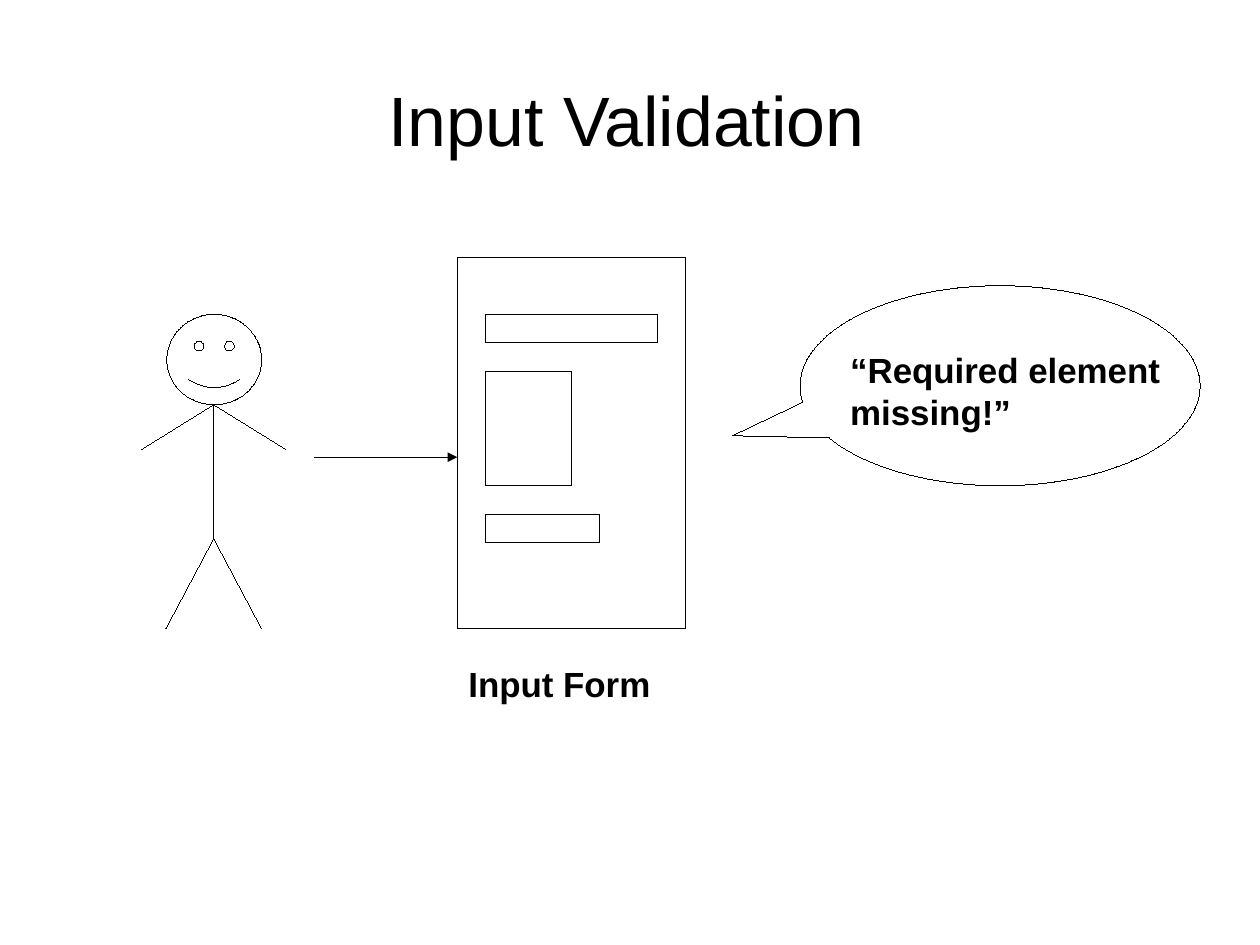
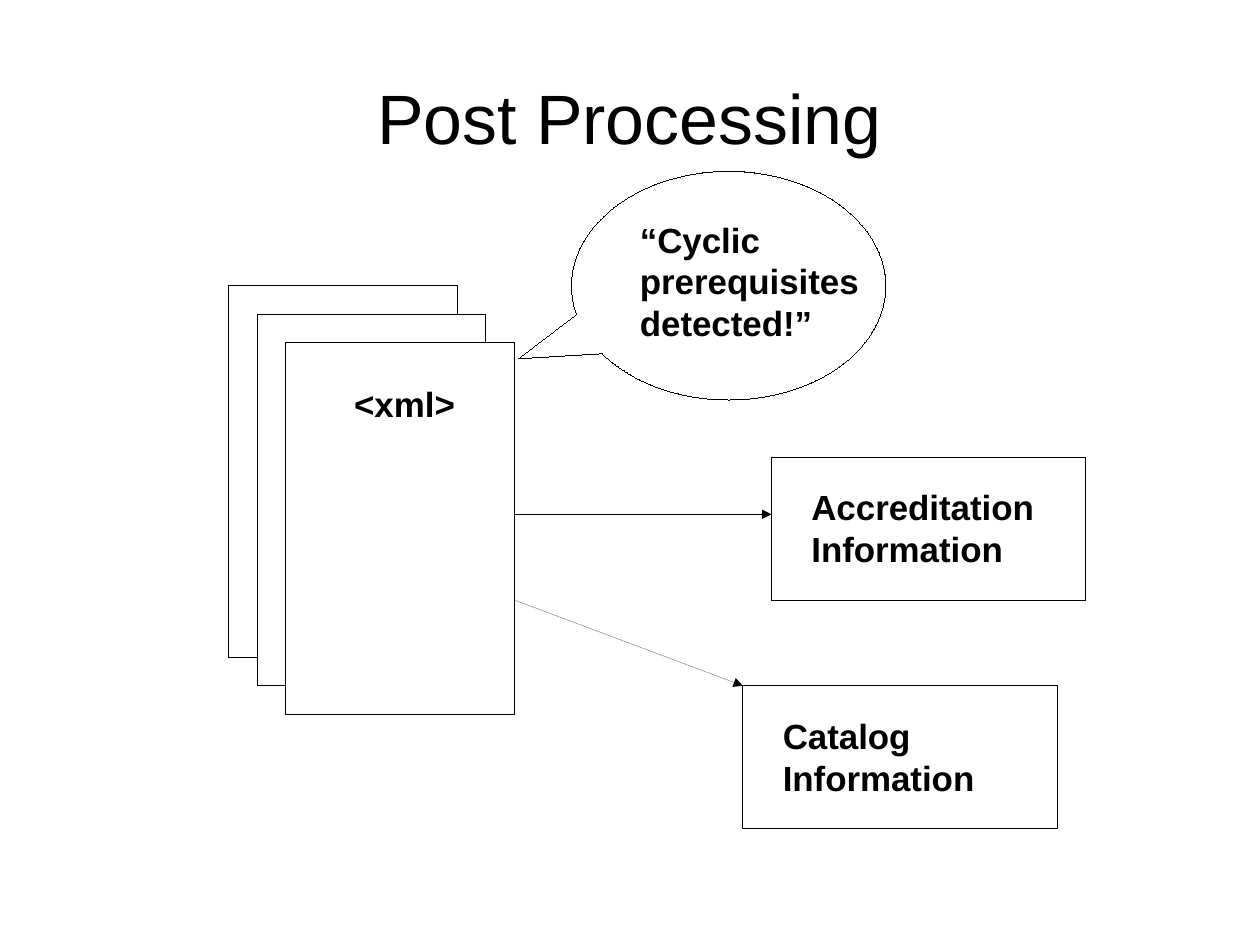
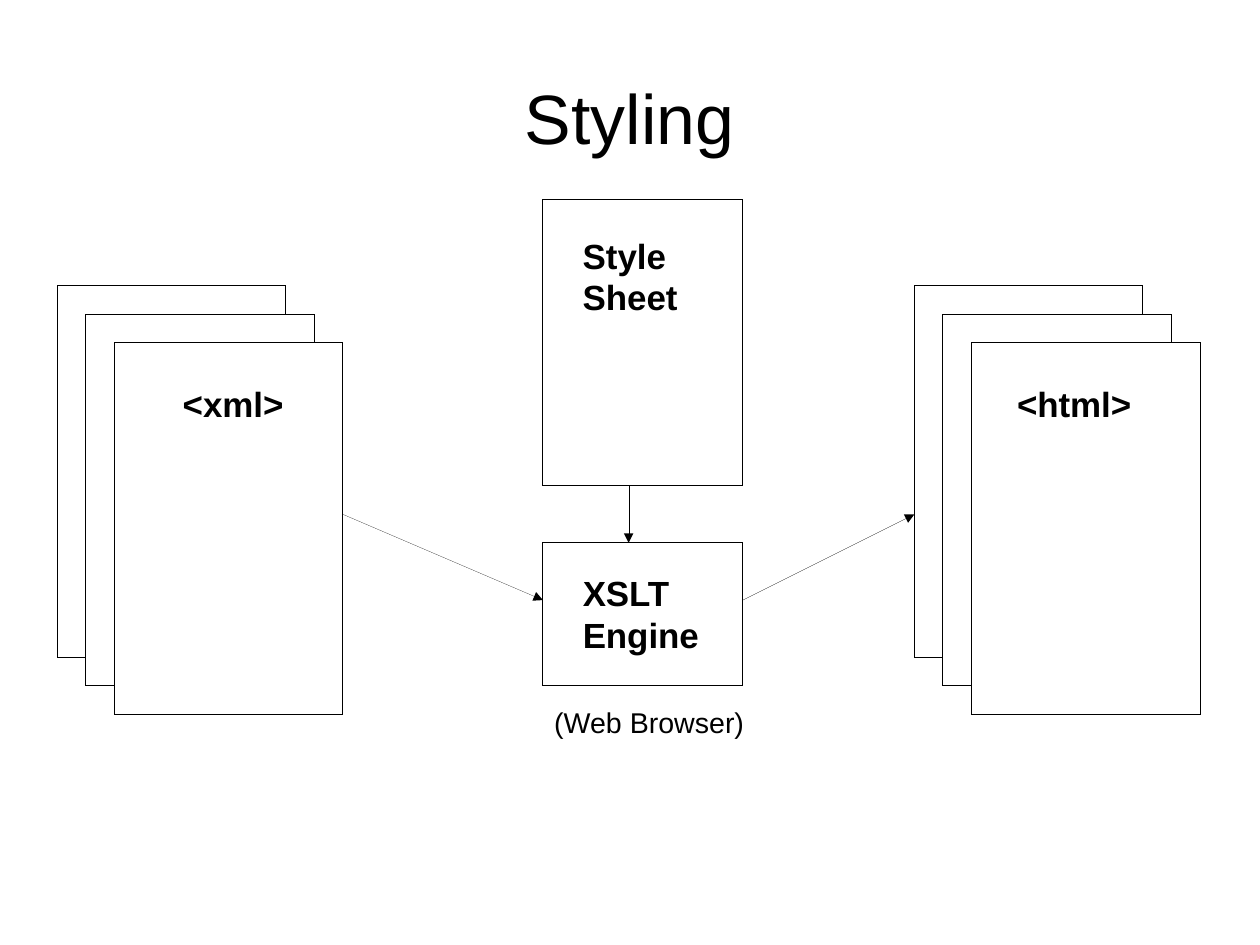
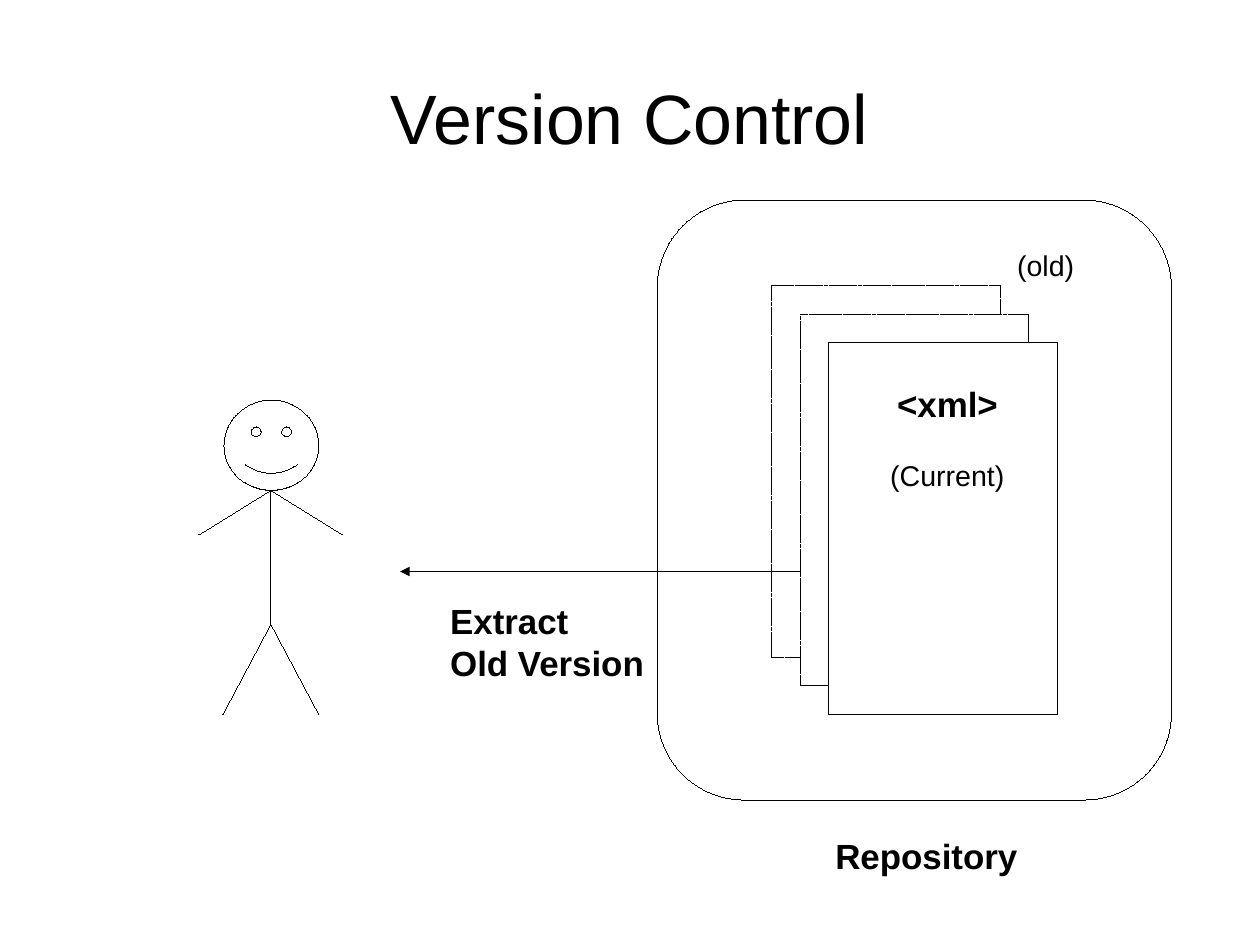
from lxml.etree import SubElement
from pptx import Presentation
from pptx.dml.color import RGBColor
from pptx.enum.dml import MSO_LINE_DASH_STYLE as Dash
from pptx.enum.shapes import MSO_CONNECTOR, MSO_SHAPE as Shape
from pptx.enum.text import MSO_ANCHOR, PP_ALIGN
from pptx.oxml.ns import qn
from pptx.util import Inches, Pt

COLORS = {"ink": "000000", "paper": "FFFFFF"}
INK = RGBColor.from_string(COLORS["ink"])
PAPER = RGBColor.from_string(COLORS["paper"])
FONT = "Arial"
TITLE_SIZE, LABEL_SIZE, NOTE_SIZE = 44, 22, 18
SHEET_WIDTH, SHEET_HEIGHT, SHEET_STEP = 2, 3.25, 0.25
CM_PER_INCH = 2.54
HAIRLINE = "0"


def draw_shape(page, kind, left, top, width, height, adjust=(), filled=False):
    shape = page.shapes.add_shape(
        kind, Inches(left), Inches(top), Inches(width), Inches(height))
    shape.shadow.inherit = False
    if filled:
        shape.fill.solid()
        shape.fill.fore_color.rgb = PAPER
    else:
        shape.fill.background()
    shape.line.color.rgb = INK
    shape._element.spPr.find(qn("a:ln")).set("w", HAIRLINE)
    for index, value in enumerate(adjust):
        shape.adjustments[index] = value
    return shape


def write(page, text, left, top, width, height, size=LABEL_SIZE, bold=True):
    box = page.shapes.add_textbox(
        Inches(left), Inches(top), Inches(width), Inches(height))
    frame = box.text_frame
    frame.word_wrap = False
    frame.text = text
    for para in frame.paragraphs:
        for span in para.runs:
            span.font.name = FONT
            span.font.size = Pt(size)
            span.font.bold = bold
            span.font.color.rgb = INK
    return frame


deck = Presentation()
deck.slide_width = Inches(28 / CM_PER_INCH)
deck.slide_height = Inches(21 / CM_PER_INCH)

titles = [
    ("Input Validation", 0.5, 9.97, 1.42),
    ("Post Processing", 0.55, 9.92, 1.38),
    ("Styling", 0.55, 9.92, 1.38),
    ("Version Control", 0.55, 9.92, 1.38),
]
pages = []
for title, left, width, height in titles:
    page = deck.slides.add_slide(deck.slide_layouts[6])
    frame = write(page, title, left, 0.33, width, height, TITLE_SIZE, False)
    frame.word_wrap = True
    frame.vertical_anchor = MSO_ANCHOR.MIDDLE
    frame.margin_left = frame.margin_right = 0
    frame.margin_top = frame.margin_bottom = 0
    frame.paragraphs[0].alignment = PP_ALIGN.CENTER
    pages.append(page)
validation, processing, styling, versions = pages

stacks = [
    (processing, 2, "<xml>", 3, 1.08, False),
    (styling, 0.5, "<xml>", 1.5, 1.08, False),
    (styling, 8, "<html>", 8.8, 1.2, False),
    (versions, 6.75, "<xml>", 7.75, 1.08, True),
]
for page, left, label, label_left, label_width, old_dashed in stacks:
    for number in range(3):
        offset = number * SHEET_STEP
        sheet = draw_shape(page, Shape.RECTANGLE, left + offset, 2.5 + offset,
                           SHEET_WIDTH, SHEET_HEIGHT, filled=True)
        if old_dashed and number < 2:
            sheet.line.dash_style = Dash.SQUARE_DOT
    write(page, label, label_left, 3.3, label_width, 0.45)

rectangles = [
    (validation, 4, 2.25, SHEET_WIDTH, SHEET_HEIGHT),
    (validation, 4.25, 2.75, 1.5, 0.25),
    (validation, 4.25, 3.25, 0.75, 1),
    (validation, 4.25, 4.5, 1, 0.25),
    (processing, 6.75, 4, 2.75, 1.25),
    (processing, 6.5, 6, 2.75, 1.25),
    (styling, 4.75, 1.75, 1.75, 2.5),
    (styling, 4.75, 4.75, 1.75, 1.25),
]
for page, *place in rectangles:
    draw_shape(page, Shape.RECTANGLE, *place)

draw_shape(validation, Shape.OVAL_CALLOUT, 7, 2.5, 3.5, 1.75, (-0.67, 0.25))
draw_shape(processing, Shape.OVAL_CALLOUT, 5, 1.5, 2.75, 2, (-0.67, 0.32))
draw_shape(versions, Shape.ROUNDED_RECTANGLE, 5.75, 1.75, 4.5, 5.25, (0.17,))

labels = [
    (validation, "Input Form", 4, 5.75, 1.79, 0.45),
    (validation, "“Required element\nmissing!”", 7.34, 3, 2.91, 0.8),
    (processing, "“Cyclic\nprerequisites\ndetected!”", 5.5, 1.86, 2.12, 1.14),
    (processing, "Accreditation\nInformation", 7, 4.2, 2.15, 0.8),
    (processing, "Catalog\nInformation", 6.75, 6.2, 1.88, 0.8),
    (styling, "Style\nSheet", 5, 2, 1.03, 0.8),
    (styling, "XSLT\nEngine", 5, 4.95, 1.22, 0.8),
    (versions, "Repository", 7.21, 7.25, 1.79, 0.45),
    (versions, "Extract\nOld Version", 3.84, 5.2, 1.91, 0.8),
]
for page, text, *place in labels:
    write(page, text, *place)

notes = [
    (styling, "(Web Browser)", 4.75, 6.12, 1.86),
    (versions, "(Current)", 7.69, 3.96, 1.2),
    (versions, "(old)", 8.8, 2.12, 0.7),
]
for page, text, left, top, width in notes:
    write(page, text, left, top, width, 0.38, NOTE_SIZE, False)

lines = [
    (validation, 2.75, 4, 4, 4, True),
    (processing, 4.5, 4.5, 6.75, 4.5, True),
    (processing, 4.5, 5.25, 6.5, 6, True),
    (styling, 5.5, 4.25, 5.5, 4.75, True),
    (styling, 3, 4.5, 4.75, 5.25, True),
    (styling, 6.5, 5.25, 8, 4.5, True),
    (versions, 7, 5, 3.5, 5, True),
]
for page, left, top in [(validation, 1.46, 2.75), (versions, 1.96, 3.5)]:
    center, neck, hip = left + 0.41, top + 0.79, top + 1.96
    draw_shape(page, Shape.SMILEY_FACE, left, top, 0.83, 0.79)
    lines.append((page, center, neck, center, hip, False))
    for side in (-1, 1):
        lines.append((page, center, hip, center + side * 0.42, top + 2.75, False))
        lines.append((page, center, neck, center + side * 0.63, top + 1.18, False))

for page, start_x, start_y, end_x, end_y, arrow in lines:
    line = page.shapes.add_connector(
        MSO_CONNECTOR.STRAIGHT, Inches(start_x), Inches(start_y),
        Inches(end_x), Inches(end_y))
    line.line.color.rgb = INK
    outline = line._element.spPr.find(qn("a:ln"))
    outline.set("w", HAIRLINE)
    if arrow:
        SubElement(outline, qn("a:tailEnd"), type="triangle")
    SubElement(line._element.spPr, qn("a:effectLst"))

deck.save("out.pptx")
